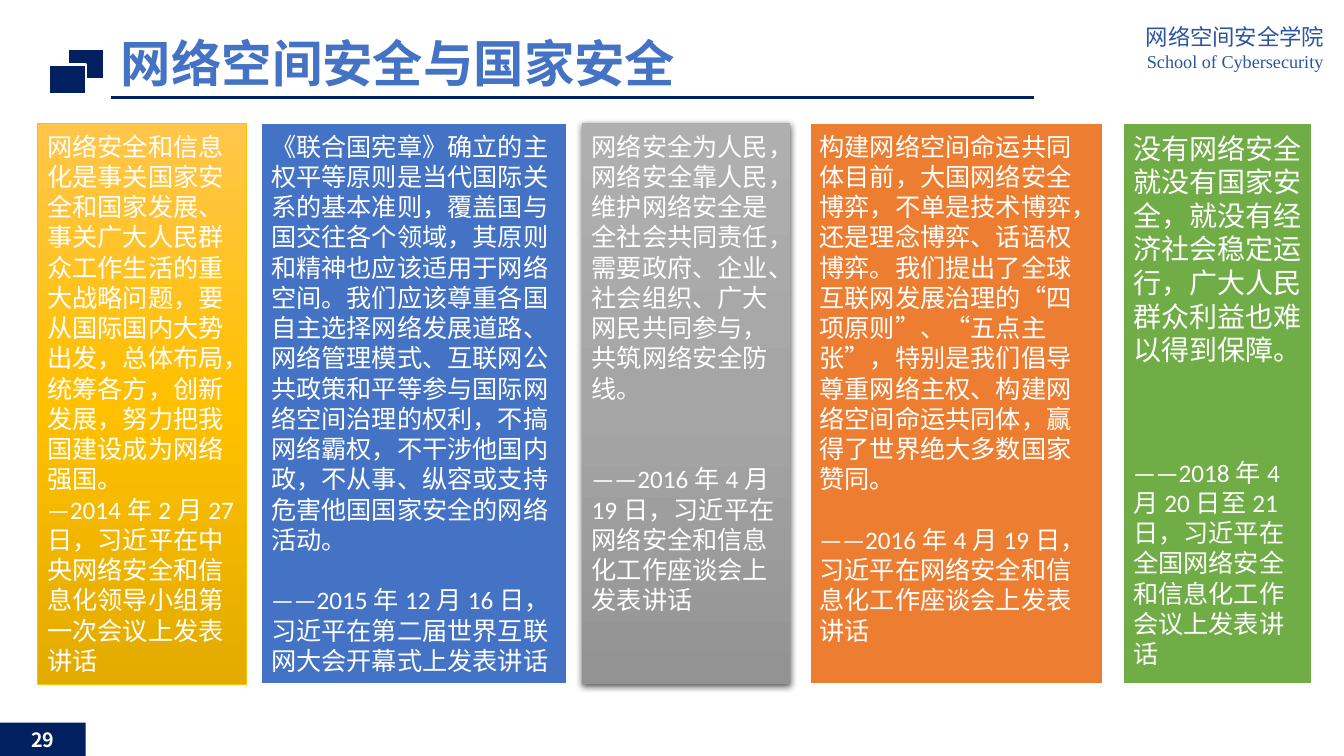
"""Build the slide on cyberspace security and national security."""
from copy import deepcopy
from dataclasses import dataclass
from typing import Optional

from lxml import etree
from pptx import Presentation
from pptx.dml.color import RGBColor
from pptx.enum.lang import MSO_LANGUAGE_ID
from pptx.enum.shapes import MSO_CONNECTOR, MSO_SHAPE
from pptx.enum.text import MSO_ANCHOR, PP_ALIGN
from pptx.oxml import parse_xml
from pptx.oxml.ns import nsdecls, qn
from pptx.util import Inches, Pt

NAVY, WHITE, BLUE, HEADER_BLUE = "012060", "FFFFFF", "4472C4", "2C55A0"
CHINESE_FONT = "Noto Sans CJK SC"
PANEL_TOP, PANEL_HEIGHT = 1.22, 5.57
LINE_FACTOR = 1.2
SHADOW_XML = (
    f'<a:effectLst {nsdecls("a")}><a:outerShdw blurRad="57150" dist="19050" '
    'dir="5400000" algn="ctr" rotWithShape="0"><a:srgbClr val="000000">'
    '<a:alpha val="63000"/></a:srgbClr></a:outerShdw></a:effectLst>'
)


@dataclass
class Panel:
    left: float
    width: float
    colors: tuple[str, ...]
    quote: str
    source: str
    gap_lines: int
    quote_size: int = 18
    line: Optional[str] = WHITE
    line_width: float = 1.5
    shadow: bool = False


PANELS = [
    Panel(0.37, 2.07, ("FFC64B", "FFC000", "E3AB00"),
          "网络安全和信息化是事关国家安全和国家发展、事关广大人民群众工作生活的重大战略问题，"
          "要从国际国内大势出发，总体布局，统筹各方，创新发展，努力把我国建设成为网络强国。",
          "—2014年2月27日，习近平在中央网络安全和信息化领导小组第一次会议上发表讲话",
          0, line="FFC000", line_width=0.5),
    Panel(2.59, 3.03, (BLUE,),
          "《联合国宪章》确立的主权平等原则是当代国际关系的基本准则，覆盖国与国交往各个领域，"
          "其原则和精神也应该适用于网络空间。我们应该尊重各国自主选择网络发展道路、网络管理模式、"
          "互联网公共政策和平等参与国际网络空间治理的权利，不搞网络霸权，不干涉他国内政，"
          "不从事、纵容或支持危害他国国家安全的网络活动。",
          "——2015年12月16日，习近平在第二届世界互联网大会开幕式上发表讲话", 1),
    Panel(5.77, 2.07, ("AFAFAF", "A5A5A5", "939393"),
          "网络安全为人民，网络安全靠人民，维护网络安全是全社会共同责任，需要政府、企业、"
          "社会组织、广大网民共同参与，共筑网络安全防线。",
          "——2016年4月19日，习近平在网络安全和信息化工作座谈会上发表讲话",
          2, line=None, shadow=True),
    Panel(8.03, 2.91, ("ED7D31",),
          "构建网络空间命运共同体目前，大国网络安全博弈，不单是技术博弈，还是理念博弈、"
          "话语权博弈。我们提出了全球互联网发展治理的“四项原则”、“五点主张”，"
          "特别是我们倡导尊重网络主权、构建网络空间命运共同体，赢得了世界绝大多数国家赞同。",
          "——2016年4月19日，习近平在网络安全和信息化工作座谈会上发表讲话", 1),
    Panel(11.14, 1.87, ("70AD47",),
          "没有网络安全就没有国家安全，就没有经济社会稳定运行，广大人民群众利益也难以得到保障。",
          "——2018年4月20日至21日，习近平在全国网络安全和信息化工作会议上发表讲话",
          3, quote_size=20),
]


def rgb(color: str) -> RGBColor:
    """Turn a hex string into a colour."""
    return RGBColor.from_string(color)


def write(paragraph, text: str, *, size: float, color: str = WHITE, font: str = "Calibri",
          bold: bool = False, align=PP_ALIGN.LEFT, before: float = 0,
          exact: bool = True) -> None:
    """Fill one paragraph with formatted text."""
    paragraph.alignment = align
    if exact:
        paragraph.line_spacing = Pt(size * LINE_FACTOR)
    if before:
        paragraph.space_before = Pt(before)
    run = paragraph.add_run()
    run.text = text
    run.font.size = Pt(size)
    run.font.bold = bold
    run.font.name = font
    run.font.color.rgb = rgb(color)
    run.font.language_id = MSO_LANGUAGE_ID.SIMPLIFIED_CHINESE
    properties = run._r.get_or_add_rPr()
    latin = properties.find(qn("a:latin"))
    east_asian = etree.Element(qn("a:ea"), typeface=CHINESE_FONT)
    latin.addnext(east_asian)


def paint(shape, colors: tuple[str, ...]) -> None:
    """Apply a solid fill or an evenly spaced vertical gradient."""
    if len(colors) == 1:
        shape.fill.solid()
        shape.fill.fore_color.rgb = rgb(colors[0])
        return
    shape.fill.gradient()
    shape.fill.gradient_angle = 270
    stop_list = shape._element.spPr.find(qn("a:gradFill")).find(qn("a:gsLst"))
    while len(stop_list) < len(colors):
        stop_list.append(deepcopy(stop_list[0]))
    for index, (stop, color) in enumerate(zip(shape.fill.gradient_stops, colors)):
        stop.position = index / (len(colors) - 1)
        stop.color.rgb = rgb(color)


def add_rectangle(slide, left: float, top: float, width: float, height: float,
                  colors: tuple[str, ...], line: Optional[str] = None,
                  line_width: float = 1.5):
    """Add a rectangle without a shadow."""
    shape = slide.shapes.add_shape(MSO_SHAPE.RECTANGLE, Inches(left), Inches(top),
                                   Inches(width), Inches(height))
    shape.shadow.inherit = False
    paint(shape, colors)
    if line:
        shape.line.color.rgb = rgb(line)
        shape.line.width = Pt(line_width)
    else:
        shape.line.fill.background()
    return shape


def add_text_box(slide, left: float, top: float, width: float, height: float):
    """Add a wrapping text box and return its frame."""
    box = slide.shapes.add_textbox(Inches(left), Inches(top), Inches(width), Inches(height))
    box.text_frame.word_wrap = True
    return box.text_frame


def add_panel(slide, panel: Panel) -> None:
    """Add one quotation panel with its source."""
    shape = add_rectangle(slide, panel.left, PANEL_TOP, panel.width, PANEL_HEIGHT,
                          panel.colors, panel.line, panel.line_width)
    if panel.shadow:
        properties = shape._element.spPr
        properties.replace(properties.find(qn("a:effectLst")), parse_xml(SHADOW_XML))
    frame = shape.text_frame
    frame.word_wrap = True
    frame.vertical_anchor = MSO_ANCHOR.TOP
    frame.margin_top = Inches(0.08)
    write(frame.paragraphs[0], panel.quote, size=panel.quote_size)
    write(frame.add_paragraph(), panel.source, size=18,
          before=panel.gap_lines * 18 * LINE_FACTOR)


def add_header(slide) -> None:
    """Add the title, its rule and emblem, and the school name."""
    rule = slide.shapes.add_connector(MSO_CONNECTOR.STRAIGHT, Inches(1.1), Inches(0.97),
                                      Inches(10.26), Inches(0.97))
    rule.line.color.rgb = rgb(NAVY)
    rule.line.width = Pt(2.25)
    etree.SubElement(rule._element.spPr, qn("a:effectLst"))
    for left, top in ((0.67, 0.49), (0.49, 0.64)):
        add_rectangle(slide, left, top, 0.36, 0.29, (NAVY,), WHITE)
    school = add_text_box(slide, 11.17, 0.18, 2.16, 0.61)
    write(school.paragraphs[0], "网络空间安全学院", size=16, color=HEADER_BLUE,
          font="Times New Roman", align=PP_ALIGN.CENTER)
    write(school.add_paragraph(), "School of Cybersecurity", size=13, color=HEADER_BLUE,
          font="Times New Roman", align=PP_ALIGN.CENTER)
    title = add_text_box(slide, 1.1, 0.28, 9.16, 0.59)
    title.vertical_anchor = MSO_ANCHOR.MIDDLE
    title.margin_top, title.margin_bottom = Inches(0.08), 0
    write(title.paragraphs[0], "网络空间安全与国家安全", size=36, color=BLUE,
          font=CHINESE_FONT, bold=True, exact=False)


def main() -> None:
    """Create and save the presentation."""
    presentation = Presentation()
    presentation.slide_width, presentation.slide_height = Inches(13.33), Inches(7.5)
    slide = presentation.slides.add_slide(presentation.slide_layouts[6])
    add_header(slide)
    for panel in PANELS:
        add_panel(slide, panel)
    page_number = add_rectangle(slide, 0, 7.17, 0.85, 0.33, (NAVY,)).text_frame
    page_number.vertical_anchor = MSO_ANCHOR.MIDDLE
    write(page_number.paragraphs[0], "29", size=14, font=CHINESE_FONT, bold=True,
          align=PP_ALIGN.CENTER, exact=False)
    presentation.save("out.pptx")


if __name__ == "__main__":
    main()
